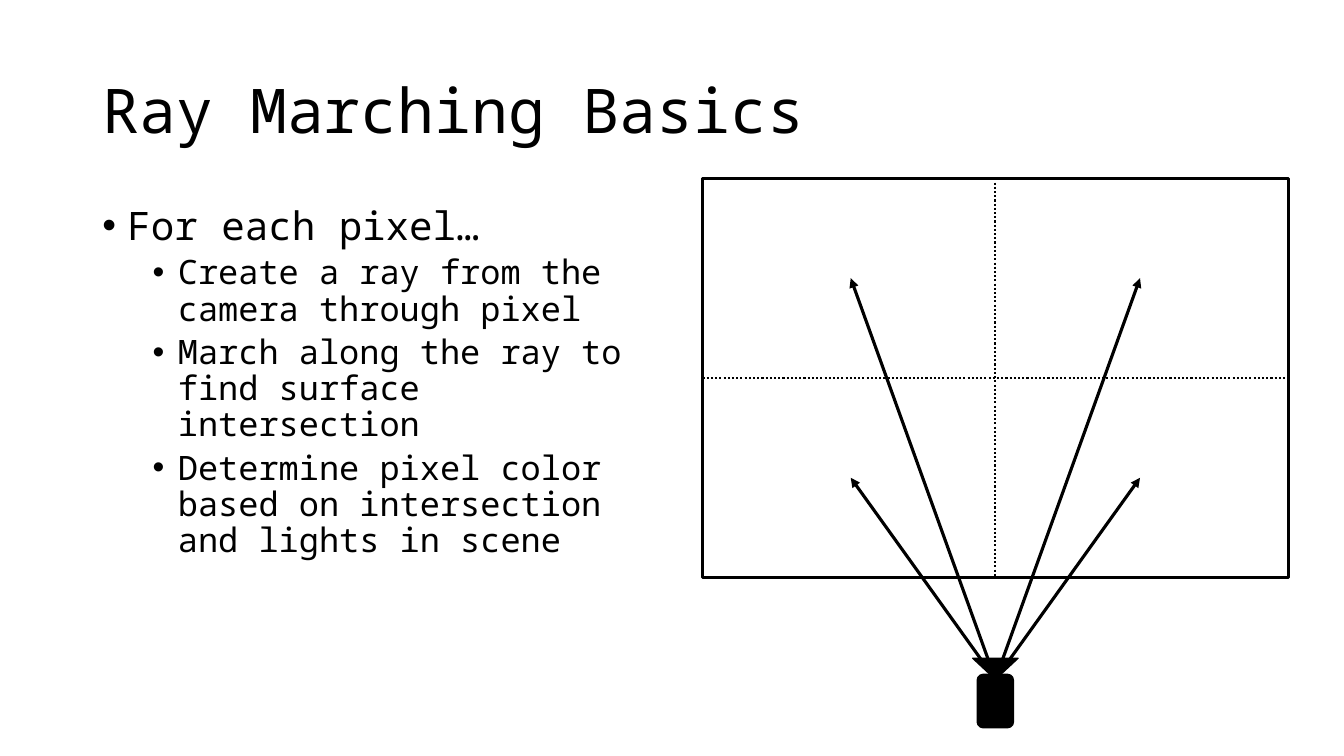
from lxml.etree import SubElement
from pptx import Presentation
from pptx.dml.color import RGBColor
from pptx.enum.dml import MSO_LINE
from pptx.enum.shapes import MSO_CONNECTOR, MSO_SHAPE
from pptx.enum.text import MSO_ANCHOR
from pptx.oxml.ns import qn
from pptx.util import Inches, Pt

COLORS = {"ink": "000000", "page": "FFFFFF"}
FONT = "Noto Sans Mono"

# The slide is a grid of 160 columns by 90 rows, 12 to the inch
COLS, ROWS = 160, 90

# Screen of 2 by 2 pixels, and the camera below its middle
LEFT, TOP, WIDE, HIGH = 83.64, 21.24, 69.72, 47.52
MID_X, MID_Y = LEFT + WIDE / 2, TOP + HIGH / 2
LENS_TOP, TIP, BODY_TOP = 78.36, 80.88, 80.28

POINTS = [
    (0, "For each pixel…"),
    (1, "Create a ray from the camera through pixel"),
    (1, "March along the ray to find surface intersection"),
    (1, "Determine pixel color based on intersection and lights in scene"),
]


def grid(*cells):
    return [Inches(cell / 12) for cell in cells]


def ink(name):
    return RGBColor.from_string(COLORS[name])


def add_box(slide, area, anchor):
    frame = slide.shapes.add_textbox(*grid(*area)).text_frame
    frame.word_wrap = True
    frame.vertical_anchor = anchor
    return frame


def add_run(para, text, size):
    para.line_spacing = 0.9
    run = para.add_run()
    run.text = text
    run.font.name = FONT
    run.font.size = Pt(size)
    run.font.color.rgb = ink("ink")


def add_mark(para, level):
    props = para._p.get_or_add_pPr()
    props.set("marL", str(Inches(0.25 + 0.5 * level)))
    props.set("indent", str(-Inches(0.25)))
    SubElement(props, qn("a:buFont")).set("typeface", "Arial")
    SubElement(props, qn("a:buChar")).set("char", "•")


def add_list(frame, points):
    for i, (level, text) in enumerate(points):
        para = frame.add_paragraph() if i else frame.paragraphs[0]
        para.level = level
        para.space_before = Pt(5 if i else 0)
        add_mark(para, level)
        add_run(para, text, 24 if level else 28)


def add_form(slide, kind, area, width, solid=True):
    form = slide.shapes.add_shape(kind, *grid(*area))
    form.shadow.inherit = False
    if solid:
        form.fill.solid()
        form.fill.fore_color.rgb = ink("ink")
    else:
        form.fill.background()
    form.line.color.rgb = ink("ink")
    form.line.width = Pt(width)


def add_line(slide, start, end, width, dash=None, arrow=False):
    link = slide.shapes.add_connector(
        MSO_CONNECTOR.STRAIGHT, *grid(*start, *end))
    link.line.color.rgb = ink("ink")
    link.line.width = Pt(width)
    if dash:
        link.line.dash_style = dash
    if arrow:
        SubElement(link.line._get_or_add_ln(),
                   qn("a:tailEnd")).set("type", "triangle")
    SubElement(link._element.spPr, qn("a:effectLst"))


def add_screen(slide):
    add_form(slide, MSO_SHAPE.RECTANGLE, (LEFT, TOP, WIDE, HIGH), 2.25, False)
    dots = MSO_LINE.ROUND_DOT
    add_line(slide, (MID_X, TOP), (MID_X, TOP + HIGH), 1.5, dots)
    add_line(slide, (LEFT, MID_Y), (LEFT + WIDE, MID_Y), 1.5, dots)


def add_rays(slide):
    # One ray to the centre of each pixel
    for side in (-1, 1):
        for row in (1, 3):
            goal = (MID_X + side * 17.22, TOP + row * HIGH / 4)
            add_line(slide, (MID_X, TIP), goal, 2.25, arrow=True)


def main():
    deck = Presentation()
    deck.slide_width, deck.slide_height = grid(COLS, ROWS)
    slide = deck.slides.add_slide(deck.slide_layouts[6])
    slide.background.fill.solid()
    slide.background.fill.fore_color.rgb = ink("page")

    # Title and steps
    title = add_box(slide, (11, 4.8, 138, 17.4), MSO_ANCHOR.MIDDLE)
    add_run(title.paragraphs[0], "Ray Marching Basics", 44)
    add_list(add_box(slide, (11, 24, 67.2, 57.12), MSO_ANCHOR.TOP), POINTS)

    # Screen, lens, rays and camera body
    add_screen(slide)
    add_form(slide, MSO_SHAPE.FLOWCHART_MERGE,
             (MID_X - 2.7, LENS_TOP, 5.4, TIP - LENS_TOP), 1)
    add_rays(slide)
    add_form(slide, MSO_SHAPE.ROUNDED_RECTANGLE,
             (MID_X - 2.16, BODY_TOP, 4.32, 6.36), 1)

    deck.save("out.pptx")


if __name__ == "__main__":
    main()
